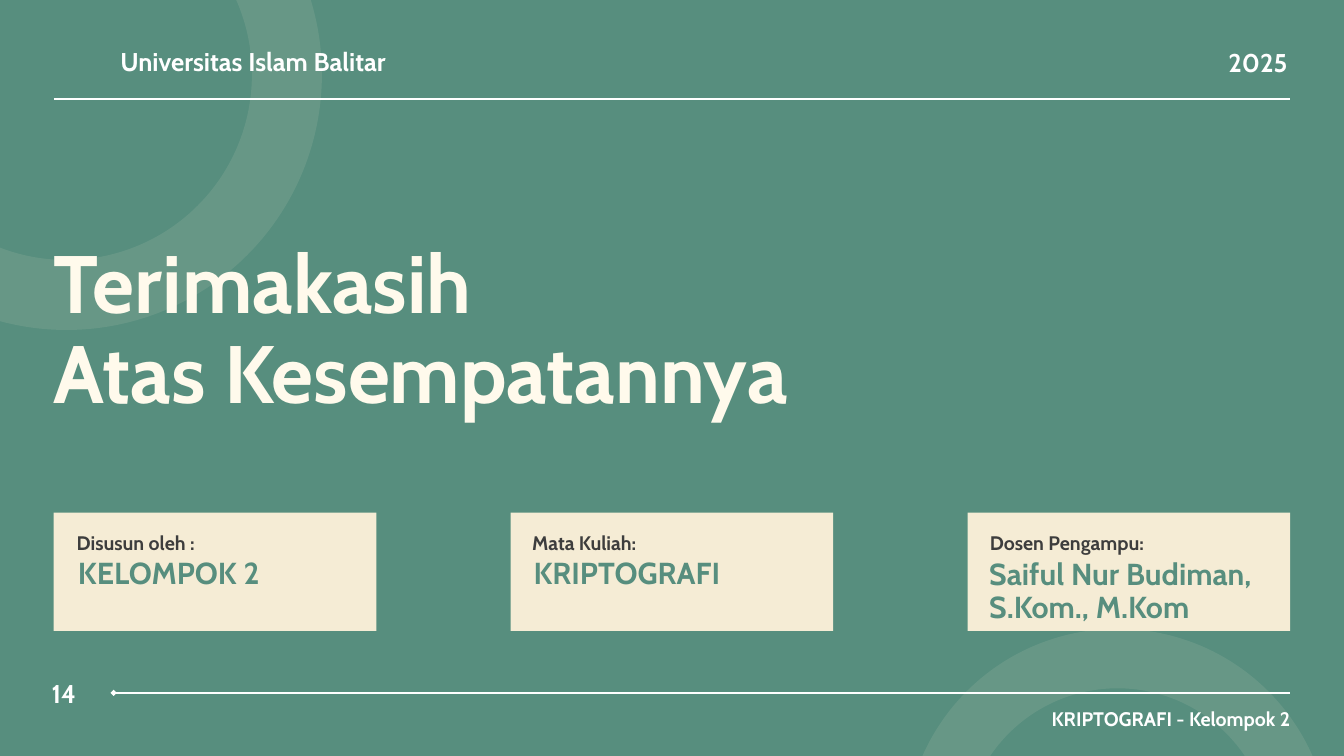
from lxml import etree
from pptx import Presentation
from pptx.dml.color import RGBColor
from pptx.enum.shapes import MSO_CONNECTOR, MSO_SHAPE
from pptx.enum.text import MSO_ANCHOR, MSO_AUTO_SIZE, PP_ALIGN
from pptx.oxml.ns import qn
from pptx.util import Inches, Pt

GREEN = RGBColor(0x57, 0x8E, 0x7E)
SAND = RGBColor(0xF5, 0xEC, 0xD5)
CREAM = RGBColor(0xFF, 0xFA, 0xEC)
CHARCOAL = RGBColor(0x3D, 0x3D, 0x3D)
WHITE = RGBColor(0xFF, 0xFF, 0xFF)
FONT = "Cabin"

TITLE_LINES = ["Terimakasih", "Atas Kesempatannya"]
# label, value, left inset of label, left inset of value, height of value
CARDS = [
    ("Disusun oleh :", "KELOMPOK 2", 0.34, 0.36, 0.5),
    ("Mata Kuliah:", "KRIPTOGRAFI", 0.32, 0.34, 0.5),
    ("Dosen Pengampu:", "Saiful Nur Budiman, S.Kom., M.Kom", 0.33, 0.32, 0.99),
]
# left, top, diameter in inches, line width in points
RINGS = [(-2.29, -2.17, 6.56, 75), (13.9, 9.8, 5.46, 63.75)]
# text, left, top, width, height, size, line spacing, alignment
MARGIN_TEXTS = [
    ("Universitas Islam Balitar", 1.42, 0.72, 4.32, 0.43, 27.5, 30.2, PP_ALIGN.RIGHT),
    ("2025", 18.28, 0.73, 0.92, 0.42, 27.5, 30.2, PP_ALIGN.LEFT),
    ("14", 0.77, 10.12, 0.46, 0.42, 27.5, 30.2, PP_ALIGN.LEFT),
    ("KRIPTOGRAFI - Kelompok 2", 15.36, 10.55, 3.84, 0.33, 21, 23.1, PP_ALIGN.RIGHT),
]

SLIDE_WIDTH, SLIDE_HEIGHT = 20, 11.25
MARGIN = 0.8
RIGHT = SLIDE_WIDTH - MARGIN
CARD_WIDTH, CARD_HEIGHT, CARD_TOP = 4.8, 1.76, 7.63
CARD_STEP = (RIGHT - MARGIN - CARD_WIDTH) / (len(CARDS) - 1)


def write(shape, lines, size, spacing, color, alignment=PP_ALIGN.LEFT):
    frame = shape.text_frame
    frame.margin_left = frame.margin_right = 0
    frame.margin_top = frame.margin_bottom = 0
    frame.word_wrap = True
    frame.auto_size = MSO_AUTO_SIZE.NONE
    frame.vertical_anchor = MSO_ANCHOR.TOP
    frame.text = "\n".join(lines)
    for paragraph in frame.paragraphs:
        paragraph.alignment = alignment
        paragraph.line_spacing = Pt(spacing)
        paragraph.space_before = Pt(0)
        paragraph.font.name = FONT
        paragraph.font.size = Pt(size)
        paragraph.font.bold = True
        paragraph.font.color.rgb = color


def add_text(slide, text, left, top, width, height, *style):
    box = slide.shapes.add_textbox(*map(Inches, (left, top, width, height)))
    write(box, [text], *style)


def add_ring(slide, left, top, diameter, line_width):
    """Draw an unfilled circle with a wide, 10 % opaque outline."""
    ring = slide.shapes.add_shape(
        MSO_SHAPE.OVAL, *map(Inches, (left, top, diameter, diameter)))
    ring.shadow.inherit = False
    ring.fill.background()
    ring.line.color.rgb = SAND
    ring.line.width = Pt(line_width)
    color = ring.line._ln.find(".//" + qn("a:srgbClr"))
    etree.SubElement(color, qn("a:alpha"), val="10000")


def add_card(slide, left, label, value, label_inset, value_inset, value_height):
    card = slide.shapes.add_shape(
        MSO_SHAPE.RECTANGLE, *map(Inches, (left, CARD_TOP, CARD_WIDTH, CARD_HEIGHT)))
    card.shadow.inherit = False
    card.fill.solid()
    card.fill.fore_color.rgb = SAND
    card.line.fill.background()
    add_text(slide, label, left + label_inset, CARD_TOP + 0.3, 4.35, 0.33,
             21, 23.1, CHARCOAL)
    add_text(slide, value, left + value_inset, CARD_TOP + 0.67, 4.32, value_height,
             32.5, 35.7, GREEN)


def add_rule(slide, left, y):
    rule = slide.shapes.add_connector(
        MSO_CONNECTOR.STRAIGHT, *map(Inches, (left, y, RIGHT, y)))
    rule.line.color.rgb = WHITE
    rule.line.width = Pt(2.25)
    etree.SubElement(rule._element.spPr, qn("a:effectLst"))
    return rule


def main():
    presentation = Presentation()
    presentation.slide_width = Inches(SLIDE_WIDTH)
    presentation.slide_height = Inches(SLIDE_HEIGHT)
    slide = presentation.slides.add_slide(presentation.slide_layouts[5])
    slide.background.fill.solid()
    slide.background.fill.fore_color.rgb = GREEN

    for ring in RINGS:
        add_ring(slide, *ring)

    title = slide.shapes.title
    title.left, title.top = Inches(MARGIN), Inches(3.58)
    title.width, title.height = Inches(12.14), Inches(2.69)
    write(title, TITLE_LINES, 87.2, 96, CREAM)
    slide.shapes._spTree.append(title._element)  # in front of the rings

    for column, card in enumerate(CARDS):
        add_card(slide, MARGIN + column * CARD_STEP, *card)

    add_rule(slide, MARGIN, 1.48)
    footer_rule = add_rule(slide, 1.69, 10.31)
    etree.SubElement(footer_rule.line._ln, qn("a:headEnd"), type="diamond")

    for text, left, top, width, height, size, spacing, alignment in MARGIN_TEXTS:
        add_text(slide, text, left, top, width, height, size, spacing, WHITE, alignment)

    presentation.save("out.pptx")


if __name__ == "__main__":
    main()
